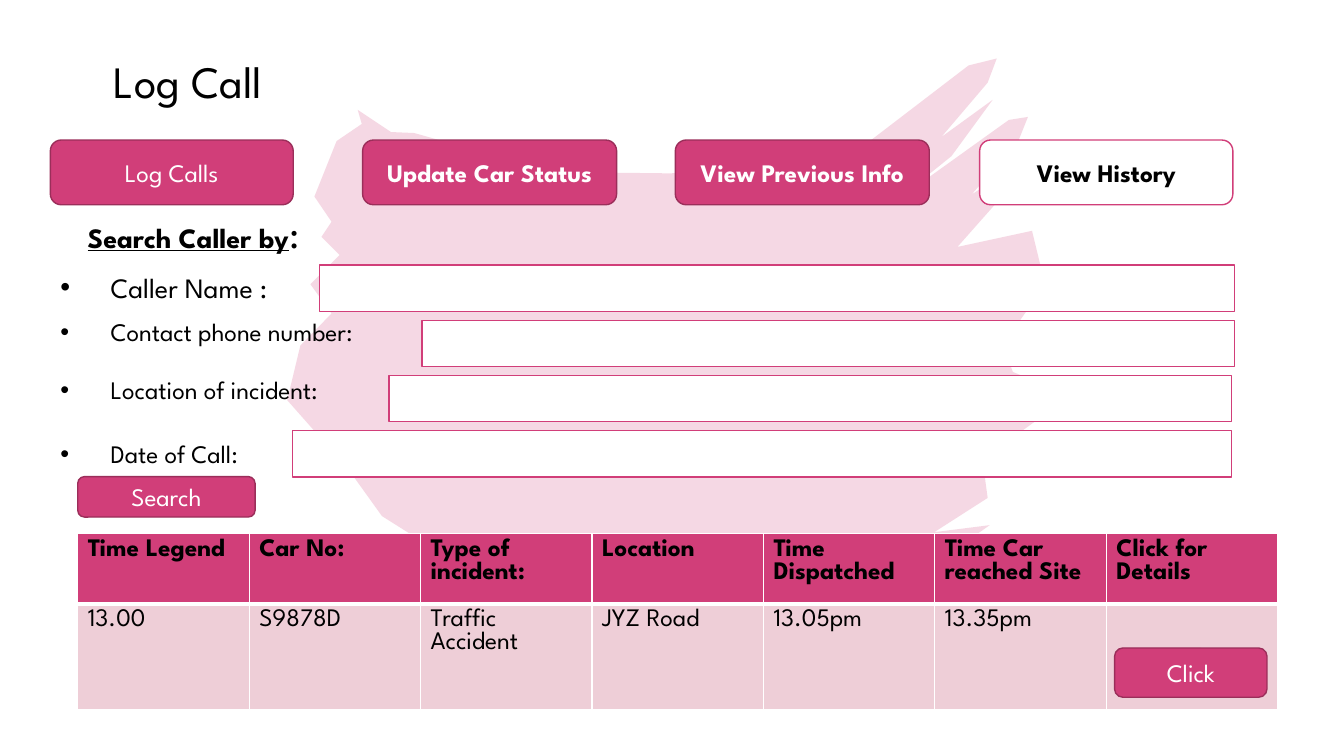
from lxml import etree
from pptx import Presentation
from pptx.dml.color import RGBColor
from pptx.enum.shapes import MSO_SHAPE
from pptx.enum.text import MSO_ANCHOR, MSO_AUTO_SIZE, PP_ALIGN
from pptx.oxml.ns import qn
from pptx.util import Cm, Pt

FONT = "League Spartan"
PINK = RGBColor(0xD1, 0x3E, 0x79)
PLUM = RGBColor(0x9B, 0x2E, 0x5A)
ROSE = RGBColor(0xEE, 0xCE, 0xD7)
WHITE = RGBColor(0xFF, 0xFF, 0xFF)
BLACK = RGBColor(0x00, 0x00, 0x00)
RECT, ROUNDED = MSO_SHAPE.RECTANGLE, MSO_SHAPE.ROUNDED_RECTANGLE
CENTER, TOP, MIDDLE = PP_ALIGN.CENTER, MSO_ANCHOR.TOP, MSO_ANCHOR.MIDDLE
NO_FIT = MSO_AUTO_SIZE.NONE

# Outline of the brush stroke, in units of 0.0254 cm
BRUSH = [
    (443, 141), (508, 161), (578, 171), (665, 172), (769, 167), (863, 140),
    (961, 65), (989, 58), (980, 82), (934, 136), (985, 99), (944, 155),
    (888, 200), (1001, 119), (1020, 116), (1010, 141), (964, 193),
    (1017, 159), (996, 193), (950, 245), (1024, 229), (1032, 262),
    (976, 303), (1019, 308), (995, 342), (1005, 369), (1046, 386),
    (1048, 403), (987, 447), (1024, 434), (977, 472), (980, 494),
    (927, 528), (982, 521), (920, 565), (793, 602), (704, 616), (574, 606),
    (471, 570), (379, 512), (346, 466), (285, 397), (298, 343), (329, 311),
    (308, 282), (337, 253), (319, 235), (329, 220), (312, 195), (334, 140),
    (359, 123), (355, 109), (388, 131), (411, 132),
]


def style(p, size, color=BLACK, bold=False):
    for r in p.runs:
        r.font.name, r.font.size = FONT, Pt(size)
        r.font.bold, r.font.color.rgb = bold, color


def add_box(kind, x, y, w, h, fill, line, text="", color=WHITE, bold=False):
    sp = s.shapes.add_shape(kind, Cm(x), Cm(y), Cm(w), Cm(h))
    sp.shadow.inherit = False
    sp.fill.solid()
    sp.fill.fore_color.rgb = fill
    sp.line.color.rgb, sp.line.width = line, Pt(1)
    if text:
        sp.text_frame.text = text
        sp.text_frame.vertical_anchor = MIDDLE
        p = sp.text_frame.paragraphs[0]
        p.alignment = CENTER
        style(p, 18, color, bold)


prs = Presentation()
prs.slide_width, prs.slide_height = Cm(33.87), Cm(19.05)
s = prs.slides.add_slide(prs.slide_layouts[5])

# Title
title = s.shapes.title
title.left, title.top, title.width, title.height = Cm(1.68), Cm(1.22), Cm(6.12), Cm(1.63)
tf = title.text_frame
tf.text = "Log Call"
tf.auto_size, tf.vertical_anchor = NO_FIT, TOP
tf.paragraphs[0].alignment = CENTER
style(tf.paragraphs[0], 32)

# Brush stroke behind everything
builder = s.shapes.build_freeform(*BRUSH[0], scale=Cm(0.0254))
builder.add_line_segments(BRUSH[1:], close=True)
brush = builder.convert_to_shape()
brush.shadow.inherit = False
brush.fill.solid()
brush.fill.fore_color.rgb = PINK
brush.line.fill.background()
tint = brush.element.spPr.find(".//" + qn("a:srgbClr"))
etree.SubElement(tint, qn("a:alpha"), val="20000")
title.element.addprevious(brush.element)

# Navigation and search buttons
NAV = [  # text, left, width, fill, line, text colour, bold
    ("Log Calls", 1.27, 6.12, PINK, PLUM, WHITE, False),
    ("Update Car Status", 9.14, 6.4, PINK, PLUM, WHITE, True),
    ("View Previous Info", 17.02, 6.4, PINK, PLUM, WHITE, True),
    ("View History", 24.69, 6.38, WHITE, PINK, BLACK, True),
]
for text, left, width, fill, line, color, bold in NAV:
    add_box(ROUNDED, left, 3.53, width, 1.63, fill, line, text, color, bold)
add_box(ROUNDED, 1.96, 12.01, 4.47, 1.02, PINK, PLUM, "Search")

# Search form
heading = s.shapes.add_textbox(Cm(1.96), Cm(5.16), Cm(7.21), Cm(1.45))
heading.text_frame.word_wrap = True
p = heading.text_frame.paragraphs[0]
p.text = "Search Caller by"
style(p, 20, bold=True)
p.runs[0].font.underline = True
colon = p.add_run()
colon.text = ":"
colon.font.name, colon.font.size, colon.font.color.rgb = FONT, Pt(28), BLACK

FORM = [  # label, size, label top, field left, field width
    ("Caller Name :", 20, 6.68, 8.05, 23.06),
    ("Contact phone number:", 18, 7.85, 10.64, 20.47),
    ("Location of incident:", 18, 9.32, 9.8, 21.23),
    ("Date of Call:", 18, 10.92, 7.37, 23.67),
]
for i, (text, size, top, field_left, field_width) in enumerate(FORM):
    label = s.shapes.add_textbox(Cm(1.27), Cm(top), Cm(10.03), Cm(1.02))
    label.text_frame.word_wrap = True
    p = label.text_frame.paragraphs[0]
    p.text = text
    style(p, size)
    pPr = p._p.get_or_add_pPr()
    pPr.set("marL", str(Cm(1.27)))
    pPr.set("indent", str(-Cm(1.27)))
    etree.SubElement(pPr, qn("a:buFont"), typeface="Arial")
    etree.SubElement(pPr, qn("a:buChar"), char="•")
    add_box(RECT, field_left, 6.68 + 1.39 * i, field_width, 1.17, WHITE, PINK)

# Call log
ROWS = [
    ["Time Legend", "Car No:", "Type of incident:", "Location",
     "Time Dispatched", "Time Car reached Site", "Click for Details"],
    ["13.00", "S9878D", "Traffic Accident", "JYZ Road", "13.05pm", "13.35pm", ""],
]
table = s.shapes.add_table(2, 7, Cm(1.96), Cm(13.44), Cm(30.24), Cm(4.4)).table
for col in table.columns:
    col.width = Cm(4.32)
table.rows[0].height, table.rows[1].height = Cm(1.75), Cm(2.65)
for i, row in enumerate(ROWS):
    for j, text in enumerate(row):
        cell = table.cell(i, j)
        cell.text = text
        style(cell.text_frame.paragraphs[0], 18, bold=i == 0)
        cell.fill.solid()
        cell.fill.fore_color.rgb = ROSE if i else PINK
        tcPr = cell._tc.get_or_add_tcPr()
        for k, side in enumerate(("lnL", "lnR", "lnT", "lnB")):
            width = Pt(3) if i == 0 and side == "lnB" else Pt(1)
            ln = etree.Element(qn("a:" + side), w=str(width))
            etree.SubElement(etree.SubElement(ln, qn("a:solidFill")), qn("a:srgbClr"), val=str(WHITE))
            tcPr.insert(k, ln)
add_box(ROUNDED, 28.09, 16.33, 3.84, 1.24, PINK, PLUM, "Click")

prs.save("out.pptx")
